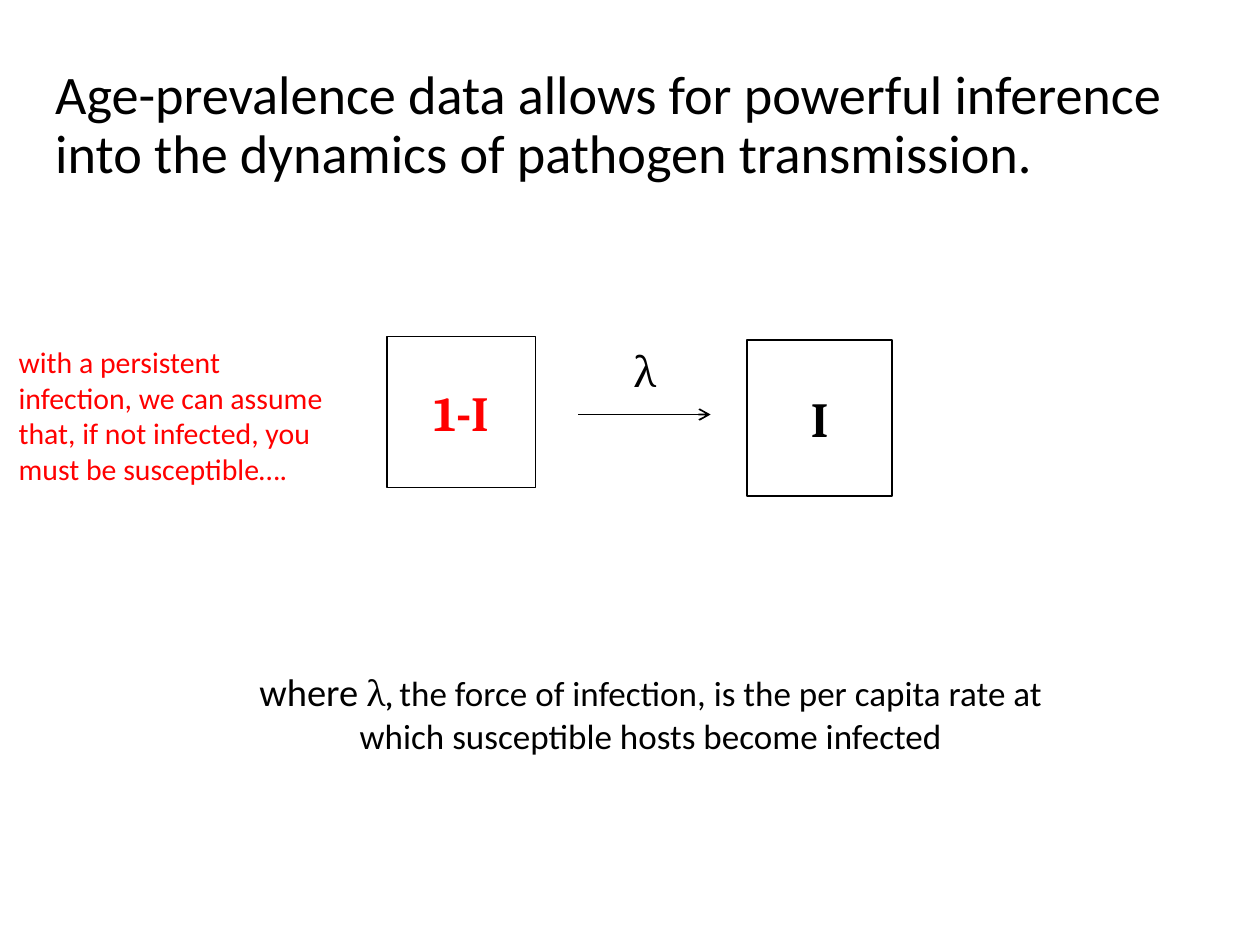
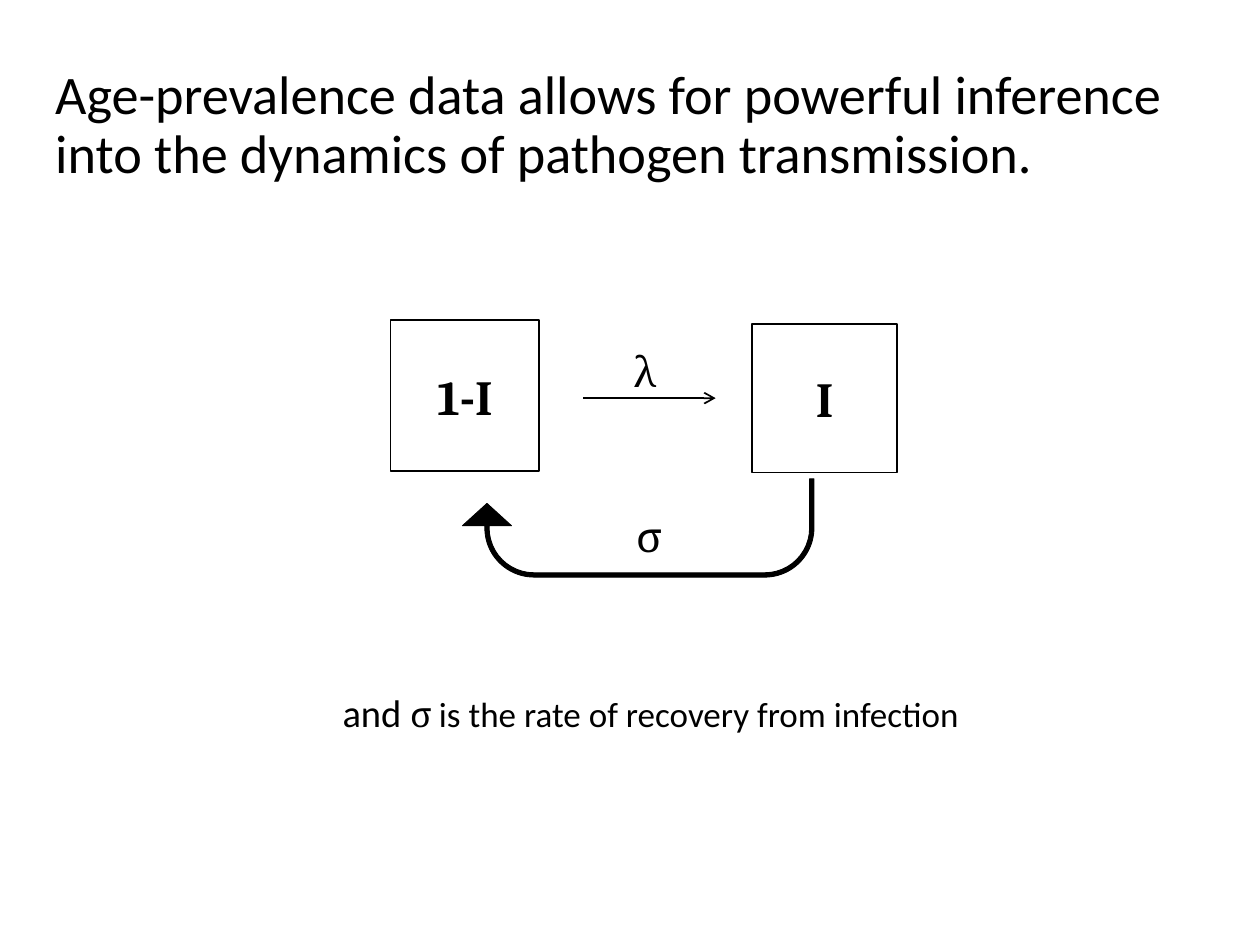
from lxml.etree import SubElement
from pptx import Presentation
from pptx.dml.color import RGBColor
from pptx.enum.shapes import MSO_CONNECTOR, MSO_SHAPE
from pptx.enum.text import MSO_ANCHOR, PP_ALIGN
from pptx.oxml.ns import qn
from pptx.util import Inches, Pt

SANS, SERIF = "Calibri", "Cambria"
BLACK, WHITE, RED = "000000", "FFFFFF", "FF0000"
TITLE = ("Age-prevalence data allows for powerful inference "
         "into the dynamics of pathogen transmission.")
NOTE = ("with a persistent infection, we can assume that, "
        "if not infected, you must be susceptible….")


def rgb(color):
    return RGBColor.from_string(color)


def set_font(font, size, name, color=BLACK, bold=False):
    font.size, font.name, font.bold = Pt(size), name, bold
    font.color.rgb = rgb(color)


def style_shape(sp, fill, line_width):
    sp.shadow.inherit = False
    sp.fill.solid()
    sp.fill.fore_color.rgb = rgb(fill)
    sp.line.color.rgb = rgb(BLACK)
    sp.line.width = Pt(line_width)


def add_text(slide, box, runs, color=BLACK, align=PP_ALIGN.CENTER):
    """Add a middle-anchored text box; runs are (text, size, font) tuples."""
    tf = slide.shapes.add_textbox(*map(Inches, box)).text_frame
    tf.word_wrap = True
    tf.vertical_anchor = MSO_ANCHOR.MIDDLE
    p = tf.paragraphs[0]
    p.alignment = align
    if len(runs) == 1:
        p.text, size, name = runs[0]
        set_font(p.font, size, name, color)
    else:
        for text, size, name in runs:
            r = p.add_run()
            r.text = text
            set_font(r.font, size, name, color)
    return p


def add_title(slide):
    p = add_text(slide, (0.34, 0.38, 9.33, 1.25), [(TITLE, 31, SANS)],
                 align=PP_ALIGN.LEFT)
    p.line_spacing = 0.9


def add_compartment(slide, box, label, color=BLACK):
    sp = slide.shapes.add_shape(MSO_SHAPE.RECTANGLE, *map(Inches, box))
    style_shape(sp, WHITE, 1)
    tf = sp.text_frame
    tf.vertical_anchor = MSO_ANCHOR.MIDDLE
    p = tf.paragraphs[0]
    p.text = label
    p.alignment = PP_ALIGN.CENTER
    set_font(p.font, 28, SERIF, color, bold=True)


def add_infection_arrow(slide, x, y):
    line = slide.shapes.add_connector(
        MSO_CONNECTOR.STRAIGHT, *map(Inches, (x, y, x + 1.05, y)))
    line.line.color.rgb = rgb(BLACK)
    line.line.width = Pt(1)
    SubElement(line.line._get_or_add_ln(), qn("a:tailEnd"), type="arrow")
    SubElement(line._element.spPr, qn("a:effectLst"))


def add_recovery_arrow(slide):
    sp = slide.shapes.add_shape(MSO_SHAPE.U_TURN_ARROW,
                                *map(Inches, (3.67, 3.8, 2.79, 0.78)))
    for i, value in enumerate((0.044, 0.25, 0.228, 0.5, 0.75)):
        sp.adjustments[i] = value
    sp.rotation = 180
    style_shape(sp, BLACK, 0.5)


def add_rate(slide, symbol, x, y):
    add_text(slide, (x, y, 1.68, 1.26), [(symbol, 24, SERIF)])


def add_definition(slide, lead, symbol, meaning):
    add_text(slide, (1.65, 5, 7.03, 1.31),
             [(lead, 22, SANS), (symbol, 20, SERIF), (meaning, 20, SANS)])


def build_infection_slide(slide):
    add_title(slide)
    add_compartment(slide, (3.07, 2.67, 1.18, 1.2), "1-I", RED)
    add_compartment(slide, (5.93, 2.7, 1.15, 1.24), "I")
    add_infection_arrow(slide, 4.59, 3.29)
    add_definition(slide, "where ", "λ, ", "the force of infection, is the per "
                   "capita rate at which susceptible hosts become infected")
    add_text(slide, (0.05, 2.64, 2.73, 1.31), [(NOTE, 17, SANS)], RED,
             PP_ALIGN.LEFT)
    add_rate(slide, "λ", 4.28, 2.31)


def build_recovery_slide(slide):
    add_title(slide)
    add_compartment(slide, (3.1, 2.54, 1.18, 1.2), "1-I")
    add_compartment(slide, (5.97, 2.57, 1.15, 1.18), "I")
    add_infection_arrow(slide, 4.63, 3.16)
    add_rate(slide, "λ", 4.28, 2.31)
    add_definition(slide, "and ", "σ ",
                   "is the rate of recovery from infection")
    add_recovery_arrow(slide)
    add_rate(slide, "σ", 4.31, 3.62)


def main():
    prs = Presentation()
    prs.slide_width, prs.slide_height = Inches(10), Inches(7.5)
    for build in (build_infection_slide, build_recovery_slide):
        build(prs.slides.add_slide(prs.slide_layouts[6]))
    prs.save("out.pptx")


if __name__ == "__main__":
    main()
